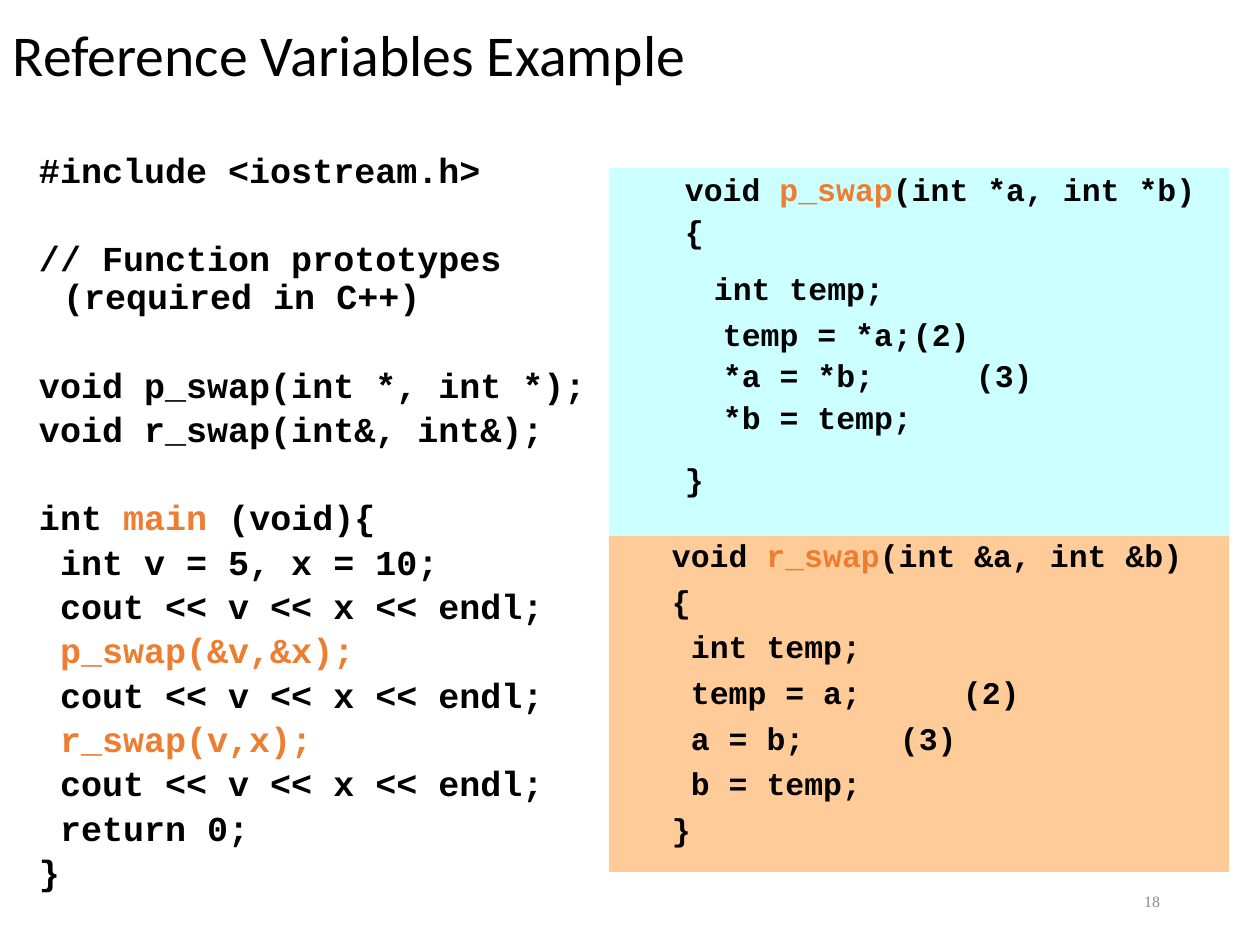
from lxml.etree import SubElement
from pptx import Presentation
from pptx.dml.color import RGBColor
from pptx.enum.shapes import MSO_SHAPE
from pptx.enum.text import MSO_ANCHOR, MSO_AUTO_SIZE, PP_ALIGN
from pptx.oxml.ns import qn
from pptx.util import Emu, Pt

SCALE = 914400 // 126


def px(num):
    return Emu(num * SCALE)


def tint(code):
    return RGBColor.from_string(code)


def put(para, text, font="Courier New", size=18, bold=True, color="000000",
        accent="ED7D31", align=PP_ALIGN.LEFT, line=1.0, gap=0,
        left=0, hang=0, tabs=0):
    para.alignment = align
    para.line_spacing = line
    para.space_before = Pt(gap)
    props = para._p.get_or_add_pPr()
    props.set("marL", str(px(left)))
    props.set("indent", str(px(hang)))
    if tabs:
        stops = SubElement(props, qn("a:tabLst"))
        for num in range(8):
            SubElement(stops, qn("a:tab"), pos=str(px(num * tabs)), algn="l")
    for num, part in enumerate(text.split("|")):
        if part:
            run = para.add_run()
            run.text = part
            run.font.name = font
            run.font.size = Pt(size)
            run.font.bold = bold
            run.font.color.rgb = tint(accent if num % 2 else color)


class Deck:
    def __init__(self):
        self.show = Presentation()
        self.show.slide_width = px(1260)
        self.show.slide_height = px(945)
        self.slide = self.show.slides.add_slide(self.show.slide_layouts[5])

    def frame(self, shape, anchor, inset=(13, 6)):
        frame = shape.text_frame
        frame.word_wrap = True
        frame.auto_size = MSO_AUTO_SIZE.NONE
        frame.vertical_anchor = anchor
        frame.margin_left = frame.margin_right = px(inset[0])
        frame.margin_top = frame.margin_bottom = px(inset[1])
        return frame

    def title(self, text, box, **style):
        shape = self.slide.shapes.title
        shape.left, shape.top, shape.width, shape.height = map(px, box)
        frame = self.frame(shape, MSO_ANCHOR.MIDDLE)
        put(frame.paragraphs[0], text, **style)

    def label(self, text, box, **style):
        shape = self.slide.shapes.add_textbox(*map(px, box))
        frame = self.frame(shape, MSO_ANCHOR.MIDDLE)
        put(frame.paragraphs[0], text, **style)

    def code(self, rows, box, fill=None, inset=(13, 6), gap=4.5, hang=-39, **style):
        spot = map(px, box)
        if fill:
            shape = self.slide.shapes.add_shape(MSO_SHAPE.RECTANGLE, *spot)
            shape.shadow.inherit = False
            shape.fill.solid()
            shape.fill.fore_color.rgb = tint(fill)
            shape.line.fill.background()
        else:
            shape = self.slide.shapes.add_textbox(*spot)
        frame = self.frame(shape, MSO_ANCHOR.TOP, inset)
        for num, (text, shift, extra) in enumerate(rows):
            para = frame.add_paragraph() if num else frame.paragraphs[0]
            put(para, text, gap=gap + extra, hang=hang + shift, **style)


MAIN = [
    ("#include <iostream.h>", 0, 0),
    ("// Function prototypes (required in C++)", 0, 25.3),
    ("void p_swap(int *, int *);", 0, 25.3),
    ("void r_swap(int&, int&);", 0, 0),
    ("int |main| (void){", 0, 25.3),
    ("int v = 5, x = 10;", 21, 0),
    ("cout << v << x << endl;", 21, 0),
    ("|p_swap(&v,&x);", 21, 0),
    ("cout << v << x << endl;", 21, 0),
    ("|r_swap(v,x);", 21, 0),
    ("cout << v << x << endl;", 21, 0),
    ("return 0;", 21, 0),
    ("}", 0, 0),
]
REFS = [
    ("void |r_swap|(int &a, int &b)", 0, 0),
    ("{", 0, 0),
    ("int temp;", 19, 0),
    ("temp = a;\t\t(2)", 19, 0),
    ("a = b;\t\t(3)", 19, 0),
    ("b = temp;", 19, 0),
    ("}", 0, 0),
]
PTRS = [
    ("void |p_swap|(int *a, int *b)", 0, 0),
    ("{", 0, 0),
    ("int temp;", 29, 8.6),
    ("temp = *a;\t(2)", 38, 2.3),
    ("*a = *b;\t\t(3)", 38, 0),
    ("*b = temp;", 38, 0),
    ("}", 0, 11.4),
]


def main():
    deck = Deck()
    deck.title("Reference Variables Example", (0, 10, 1260, 95),
               font="Calibri", size=33, bold=False, line=0.9)
    deck.code(MAIN, (-21, 147, 640, 788), size=20, line=0.9, gap=3.7,
              left=71, hang=-24)
    deck.label("18", (890, 876, 283, 50), font="Times New Roman", size=9,
               bold=False, color="898989", align=PP_ALIGN.RIGHT)
    deck.code(REFS, (609, 536, 620, 336), fill="FFCC99", inset=(0, 0),
              left=102, tabs=126)
    deck.code(PTRS, (609, 168, 620, 368), fill="CCFFFF", line=0.9,
              left=102, tabs=126)
    deck.show.save("out.pptx")


if __name__ == "__main__":
    main()
